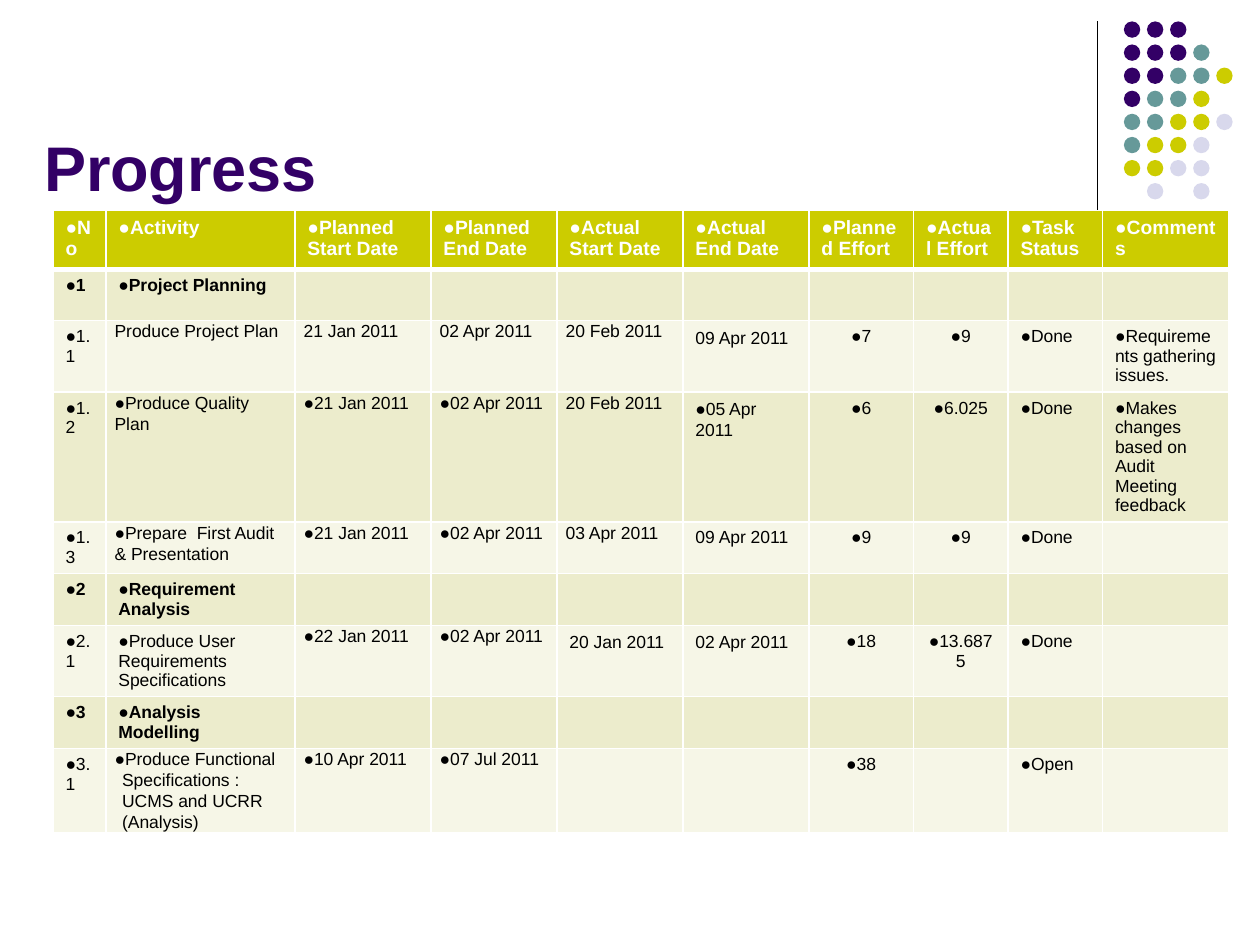
from dataclasses import dataclass

from lxml import etree
from pptx import Presentation
from pptx.dml.color import RGBColor
from pptx.enum.shapes import MSO_CONNECTOR, MSO_SHAPE
from pptx.enum.text import MSO_ANCHOR, MSO_AUTO_SIZE, PP_ALIGN
from pptx.oxml.ns import qn
from pptx.util import Inches, Pt

STRAIGHT = MSO_CONNECTOR.STRAIGHT
OVAL = MSO_SHAPE.OVAL
BOTTOM = MSO_ANCHOR.BOTTOM
NO_FIT = MSO_AUTO_SIZE.NONE
LEFT, CENTER = PP_ALIGN.LEFT, PP_ALIGN.CENTER


@dataclass(frozen=True)
class Theme:
    """Colours, font and type sizes of the slide."""
    font: str = "Arial"
    purple: str = "330066"
    teal: str = "669999"
    olive: str = "CCCC00"
    lilac: str = "D8D8EC"
    black: str = "000000"
    white: str = "FFFFFF"
    band_dark: str = "ECECCC"
    band_light: str = "F6F6E7"
    title_size: int = 36
    header_size: int = 11
    body_size: int = 10


@dataclass(frozen=True)
class CellText:
    """Text of one table cell with its paragraph layout."""
    text: str
    bullet: bool = True
    exact: bool = False
    tight: bool = False
    hanging: float = 0


def tight(text, bullet=True, hanging=0):
    """Return text with exact line spacing and narrow cell margins."""
    return CellText(text, bullet, exact=True, tight=True, hanging=hanging)


def roomy(text, bullet=False):
    """Return text with exact line spacing and normal cell margins."""
    return CellText(text, bullet, exact=True)


THEME = Theme()
DOT_COLORS = {"P": THEME.purple, "T": THEME.teal, "Y": THEME.olive, "L": THEME.lilac}
DOT_ROWS = ["PPP", "PPPT", "PPTTY", "PTTY", "TTYYL", "TYYL", "YYLL", " L L"]
COLUMN_WIDTHS = [0.42, 1.5, 1.08, 1, 1, 1, 0.83, 0.75, 0.75, 1]
ROW_HEIGHTS = [0.47, 0.38, 0.56, 1.03, 0.41, 0.41, 0.56, 0.41, 0.66]
EFFORT_COLUMNS = (6, 7)
HEADERS = ["No", "Activity", "Planned Start Date", "Planned End Date", "Actual Start Date",
           "Actual End Date", "Planned Effort", "Actual Effort", "Task Status", "Comments"]
TASKS = [
    ["1", "Project Planning"],
    ["1.1", tight("Produce Project Plan", False), tight("21 Jan 2011", False),
     tight("02 Apr 2011", False), tight("20 Feb 2011", False), roomy("09 Apr 2011"),
     "7", "9", "Done", "Requirements gathering issues."],
    ["1.2", tight("Produce Quality Plan"), tight("21 Jan 2011"), tight("02 Apr 2011"),
     tight("20 Feb 2011", False), roomy("05 Apr 2011", True),
     "6", "6.025", "Done", "Makes changes based on Audit Meeting feedback"],
    ["1.3", tight("Prepare  First Audit & Presentation"), tight("21 Jan 2011"),
     tight("02 Apr 2011"), tight("03 Apr 2011", False), CellText("09 Apr 2011", False),
     "9", "9", "Done"],
    ["2", "Requirement Analysis"],
    ["2.1", "Produce User Requirements Specifications", tight("22 Jan 2011"),
     tight("02 Apr 2011"), roomy("20 Jan 2011"), roomy("02 Apr 2011"),
     "18", "13.6875", "Done"],
    ["3", "Analysis Modelling"],
    ["3.1", tight("Produce Functional Specifications : UCMS and UCRR (Analysis)", hanging=0.06),
     tight("10 Apr 2011"), tight("07 Jul 2011"), "", "", "38", "", "Open"],
]


def add_text(paragraph, text, size, color, bold):
    """Add one formatted run to a paragraph."""
    run = paragraph.add_run()
    run.text = text
    run.font.name = THEME.font
    run.font.size = Pt(size)
    run.font.bold = bold
    run.font.color.rgb = RGBColor.from_string(color)


def set_borders(cell, top, bottom):
    """Give a cell white borders of the stated widths in points."""
    properties = cell._tc.get_or_add_tcPr()
    widths = {"a:lnL": 1, "a:lnR": 1, "a:lnT": top, "a:lnB": bottom}
    for index, (tag, width) in enumerate(widths.items()):
        line = etree.Element(qn(tag), w=str(Pt(width)))
        fill = etree.SubElement(line, qn("a:solidFill"))
        etree.SubElement(fill, qn("a:srgbClr"), val=THEME.white)
        properties.insert(index, line)


def set_bullet(paragraph, hanging):
    """Give a paragraph a round bullet and a hanging indent."""
    properties = paragraph._p.get_or_add_pPr()
    properties.set("marL", str(Inches(hanging)))
    properties.set("indent", str(-Inches(hanging)))
    etree.SubElement(properties, qn("a:buFont"), typeface=THEME.font)
    etree.SubElement(properties, qn("a:buChar"), char="●")


def fill_cell(cell, content, size, color, bold, alignment):
    """Write the content into a table cell."""
    if content.tight:
        cell.margin_left = cell.margin_right = Inches(0.07)
        cell.margin_top = cell.margin_bottom = 0
    paragraph = cell.text_frame.paragraphs[0]
    paragraph.alignment = alignment
    if content.exact:
        paragraph.line_spacing = Pt(12)
        paragraph.space_before = Pt(6)
    if content.bullet:
        set_bullet(paragraph, content.hanging)
    add_text(paragraph, content.text, size, color, bold)


def add_title(slide, left, top, width, height):
    """Place the title in the given box."""
    title = slide.shapes.title
    title.left, title.top, title.width, title.height = left, top, width, height
    frame = title.text_frame
    frame.auto_size = NO_FIT
    frame.vertical_anchor = BOTTOM
    paragraph = frame.paragraphs[0]
    paragraph.alignment = LEFT
    add_text(paragraph, "Progress", THEME.title_size, THEME.purple, True)


def add_ornament(slide, left, top, height):
    """Draw the vertical rule and the dot pattern to its right."""
    rule = slide.shapes.add_connector(STRAIGHT, left, top, left, top + height)
    rule.line.color.rgb = RGBColor.from_string(THEME.black)
    rule.line.width = Pt(0.75)
    etree.SubElement(rule._element.spPr, qn("a:effectLst"))
    dots = slide.shapes.add_group_shape()
    diameter, pitch = Inches(0.13), Inches(0.55) // 3
    for row, codes in enumerate(DOT_ROWS):
        for column, code in enumerate(codes):
            if code in DOT_COLORS:
                dot = dots.shapes.add_shape(OVAL, left + Inches(0.21) + column * pitch,
                                            top + row * pitch, diameter, diameter)
                dot.shadow.inherit = False
                dot.fill.solid()
                dot.fill.fore_color.rgb = RGBColor.from_string(DOT_COLORS[code])
                dot.line.fill.background()


def add_progress_table(slide, left, top):
    """Build the task table from its top left corner."""
    rows = [HEADERS] + TASKS
    table = slide.shapes.add_table(len(rows), len(HEADERS), left, top,
                                   Inches(sum(COLUMN_WIDTHS)), Inches(sum(ROW_HEIGHTS))).table
    for column, width in zip(table.columns, COLUMN_WIDTHS):
        column.width = Inches(width)
    for row_index, (contents, height) in enumerate(zip(rows, ROW_HEIGHTS)):
        table.rows[row_index].height = Inches(height)
        is_header = row_index == 0
        band = THEME.band_dark if row_index % 2 else THEME.band_light
        size = THEME.header_size if is_header else THEME.body_size
        color = THEME.white if is_header else THEME.black
        bold = is_header or len(contents) == 2
        for column_index in range(len(HEADERS)):
            cell = table.cell(row_index, column_index)
            cell.fill.solid()
            cell.fill.fore_color.rgb = RGBColor.from_string(THEME.olive if is_header else band)
            set_borders(cell, 3 if row_index == 1 else 1, 3 if is_header else 1)
            content = contents[column_index] if column_index < len(contents) else ""
            if content:
                if isinstance(content, str):
                    content = CellText(content)
                centered = column_index in EFFORT_COLUMNS and not is_header
                fill_cell(cell, content, size, color, bold, CENTER if centered else LEFT)


def build_progress_slide(presentation):
    """Add the progress slide to the presentation."""
    slide = presentation.slides.add_slide(presentation.slide_layouts[5])
    add_ornament(slide, Inches(8.71), Inches(0.17), Inches(1.66))
    add_title(slide, Inches(0.25), Inches(0.25), Inches(8.42), Inches(1.42))
    add_progress_table(slide, Inches(0.42), Inches(1.67))


def main():
    """Create and save the presentation."""
    presentation = Presentation()
    presentation.slide_width, presentation.slide_height = Inches(10), Inches(7.5)
    build_progress_slide(presentation)
    presentation.save("out.pptx")


main()
